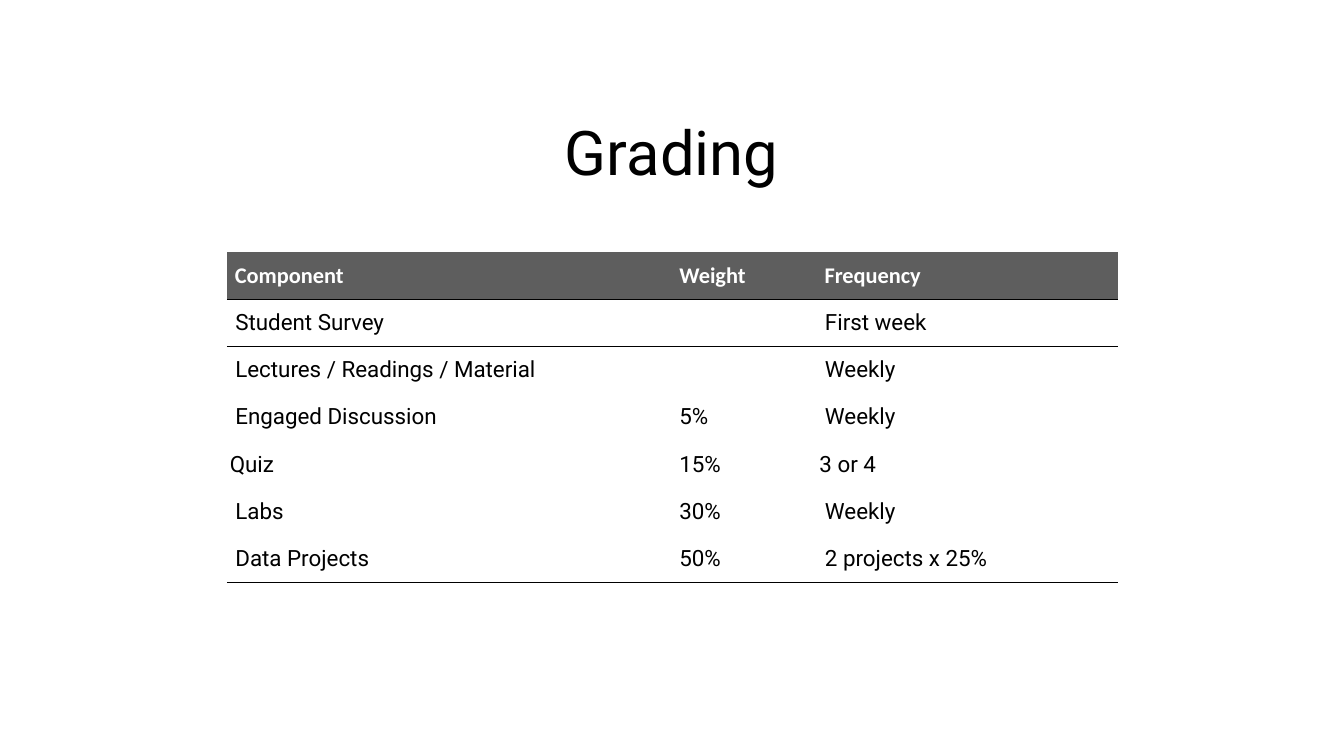
from dataclasses import dataclass

from lxml import etree
from pptx import Presentation
from pptx import util as u
from pptx.dml import color
from pptx.enum import text
from pptx.oxml import ns

COLORS = {"ink": "000000", "paper": "FFFFFF", "header": "5E5E5E"}
NO_GRID_STYLE = "{2D5ABB26-0587-4C30-8999-92F81FD0307C}"
COLUMN_WIDTHS = (321.1, 100.1, 215.3)
ROW_HEIGHT = 33.74
CELL_INSET = 2.2
RULE_WIDTH = 1


@dataclass(frozen=True)
class GradeRow:
    component: str
    weight: str
    frequency: str
    ruled: bool = False
    header: bool = False


GRADES = (
    GradeRow(" Component", "Weight", " Frequency", ruled=True, header=True),
    GradeRow(" Student Survey", "", " First week", ruled=True),
    GradeRow(" Lectures / Readings / Material", "", " Weekly"),
    GradeRow(" Engaged Discussion", "5%", " Weekly"),
    GradeRow("Quiz", "15%", "3 or 4"),
    GradeRow(" Labs", "30%", " Weekly"),
    GradeRow(" Data Projects", "50%", " 2 projects x 25%", ruled=True),
)


def rgb(name: str) -> color.RGBColor:
    return color.RGBColor.from_string(COLORS[name])


def add_run(paragraph, wording: str, size: float, font: str, ink: str, bold: bool = False) -> None:
    run = paragraph.add_run()
    run.text = wording
    run.font.size = u.Pt(size)
    run.font.name = font
    run.font.bold = bold
    run.font.color.rgb = rgb(ink)


def rule_below(cell) -> None:
    rule = etree.Element(ns.qn("a:lnB"), w=str(u.Pt(RULE_WIDTH)))
    fill = etree.SubElement(rule, ns.qn("a:solidFill"))
    etree.SubElement(fill, ns.qn("a:srgbClr"), val=COLORS["ink"])
    cell._tc.get_or_add_tcPr().insert(0, rule)


def fill_cell(cell, wording: str, grade: GradeRow) -> None:
    cell.margin_left = cell.margin_right = u.Pt(CELL_INSET)
    cell.margin_top = cell.margin_bottom = u.Pt(CELL_INSET)
    cell.vertical_anchor = text.MSO_ANCHOR.MIDDLE
    if grade.header:
        cell.fill.solid()
        cell.fill.fore_color.rgb = rgb("header")
    else:
        cell.fill.background()
    if grade.ruled:
        rule_below(cell)
    if wording:
        font, ink = ("Calibri", "paper") if grade.header else ("Roboto", "ink")
        add_run(cell.text_frame.paragraphs[0], wording, 16, font, ink, grade.header)


def add_heading(slide) -> None:
    heading = slide.shapes.add_textbox(u.Pt(47.5), u.Pt(82.8), u.Pt(864.7), u.Pt(56.2))
    frame = heading.text_frame
    frame.word_wrap = True
    frame.vertical_anchor = text.MSO_ANCHOR.MIDDLE
    paragraph = frame.paragraphs[0]
    paragraph.alignment = text.PP_ALIGN.CENTER
    paragraph.line_spacing = 0.9
    add_run(paragraph, "Grading", 44, "Roboto", "ink")


def add_grades(slide) -> None:
    frame = slide.shapes.add_table(
        len(GRADES), len(COLUMN_WIDTHS), u.Pt(162), u.Pt(180),
        u.Pt(sum(COLUMN_WIDTHS)), u.Pt(ROW_HEIGHT * len(GRADES)),
    )
    grades = frame.table
    grades.first_row = grades.horz_banding = False
    grades._tbl.tblPr.find(ns.qn("a:tableStyleId")).text = NO_GRID_STYLE
    for column, width in zip(grades.columns, COLUMN_WIDTHS):
        column.width = u.Pt(width)
    for row, grade in zip(grades.rows, GRADES):
        row.height = u.Pt(ROW_HEIGHT)
        for cell, wording in zip(row.cells, (grade.component, grade.weight, grade.frequency)):
            fill_cell(cell, wording, grade)


def main() -> None:
    deck = Presentation()
    deck.slide_width, deck.slide_height = u.Pt(960), u.Pt(540)
    slide = deck.slides.add_slide(deck.slide_layouts[6])
    add_heading(slide)
    add_grades(slide)
    deck.save("out.pptx")


if __name__ == "__main__":
    main()
